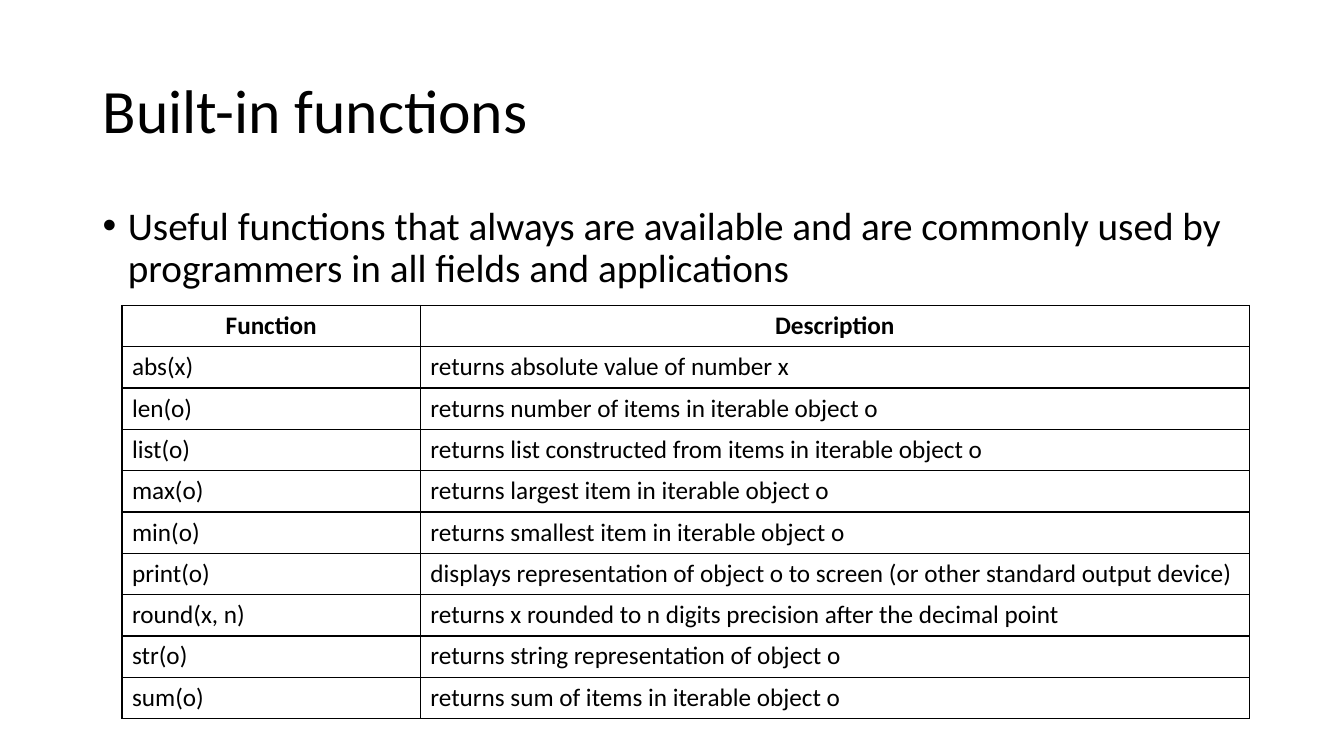
import dataclasses

import lxml.etree
import pptx
import pptx.dml.color
import pptx.enum.text
import pptx.oxml.ns
import pptx.util

Inches = pptx.util.Inches
Pt = pptx.util.Pt
qn = pptx.oxml.ns.qn

FUNCTIONS = [
    ("abs(x)", "returns absolute value of number x"),
    ("len(o)", "returns number of items in iterable object o"),
    ("list(o)", "returns list constructed from items in iterable object o"),
    ("max(o)", "returns largest item in iterable object o"),
    ("min(o)", "returns smallest item in iterable object o"),
    ("print(o)", "displays representation of object o to screen (or other standard output device)"),
    ("round(x, n)", "returns x rounded to n digits precision after the decimal point"),
    ("str(o)", "returns string representation of object o"),
    ("sum(o)", "returns sum of items in iterable object o"),
]


@dataclasses.dataclass(frozen=True)
class Theme:
    """Colours, font and type sizes of the slide."""
    font: str = "Calibri"
    ink: str = "000000"
    title: int = 44
    body: int = 28
    table: int = 18
    border: float = 1


class SlideBuilder:
    """Adds styled elements to the current slide."""

    def __init__(self, slide, theme):
        self.slide = slide
        self.theme = theme

    def style(self, paragraph, size, bold=False):
        """Set the font of a paragraph."""
        font = paragraph.font
        font.name = self.theme.font
        font.size = Pt(size)
        font.bold = bold
        font.color.rgb = pptx.dml.color.RGBColor.from_string(self.theme.ink)

    def text(self, words, left, top, width, height, size, middle=False, bullet=False):
        """Add a wrapped text box, bulleted on request."""
        box = self.slide.shapes.add_textbox(Inches(left), Inches(top), Inches(width), Inches(height))
        frame = box.text_frame
        frame.word_wrap = True
        anchors = pptx.enum.text.MSO_ANCHOR
        frame.vertical_anchor = anchors.MIDDLE if middle else anchors.TOP
        paragraph = frame.paragraphs[0]
        paragraph.text = words
        paragraph.line_spacing = 0.9
        if bullet:
            paragraph.space_before = Pt(10)
            self.bullet(paragraph, 0.25)
        self.style(paragraph, size)

    def bullet(self, paragraph, indent):
        """Give a paragraph a hanging round bullet."""
        properties = paragraph._p.get_or_add_pPr()
        properties.set("marL", str(Inches(indent)))
        properties.set("indent", str(-Inches(indent)))
        lxml.etree.SubElement(properties, qn("a:buFont"), typeface="Arial")
        lxml.etree.SubElement(properties, qn("a:buChar"), char="•")

    def borders(self, cell):
        """Draw a thin line on all four sides of a cell."""
        properties = cell._tc.get_or_add_tcPr()
        for side in ("a:lnL", "a:lnR", "a:lnT", "a:lnB"):
            line = lxml.etree.SubElement(properties, qn(side), w=str(Pt(self.theme.border)))
            fill = lxml.etree.SubElement(line, qn("a:solidFill"))
            lxml.etree.SubElement(fill, qn("a:srgbClr"), val=self.theme.ink)

    def table(self, header, records, left, top, widths, row_height):
        """Add a bordered table with a bold, centred header row."""
        rows = [header, *records]
        table = self.slide.shapes.add_table(
            len(rows), len(widths), Inches(left), Inches(top),
            Inches(sum(widths)), Inches(row_height * len(rows))).table
        table.first_row = table.horz_banding = False
        for column, width in zip(table.columns, widths):
            column.width = Inches(width)
        for row_index, row in enumerate(rows):
            table.rows[row_index].height = Inches(row_height)
            for column_index, words in enumerate(row):
                cell = table.cell(row_index, column_index)
                cell.text = words
                self.borders(cell)
                cell.fill.background()
                paragraph = cell.text_frame.paragraphs[0]
                if row_index == 0:
                    paragraph.alignment = pptx.enum.text.PP_ALIGN.CENTER
                self.style(paragraph, self.theme.table, bold=row_index == 0)


def main():
    """Build the slide and save it."""
    presentation = pptx.Presentation()
    presentation.slide_width = Inches(13.33)
    presentation.slide_height = Inches(7.5)
    theme = Theme()
    builder = SlideBuilder(presentation.slides.add_slide(presentation.slide_layouts[6]), theme)
    builder.text("Built-in functions", 0.92, 0.4, 11.5, 1.45, theme.title, middle=True)
    builder.text("Useful functions that always are available and are commonly used by "
                 "programmers in all fields and applications",
                 0.92, 2, 11.5, 4.76, theme.body, bullet=True)
    builder.table(("Function", "Description"), FUNCTIONS, 1.21, 3.03, (2.96, 8.22), 0.41)
    presentation.save("out.pptx")


if __name__ == "__main__":
    main()
